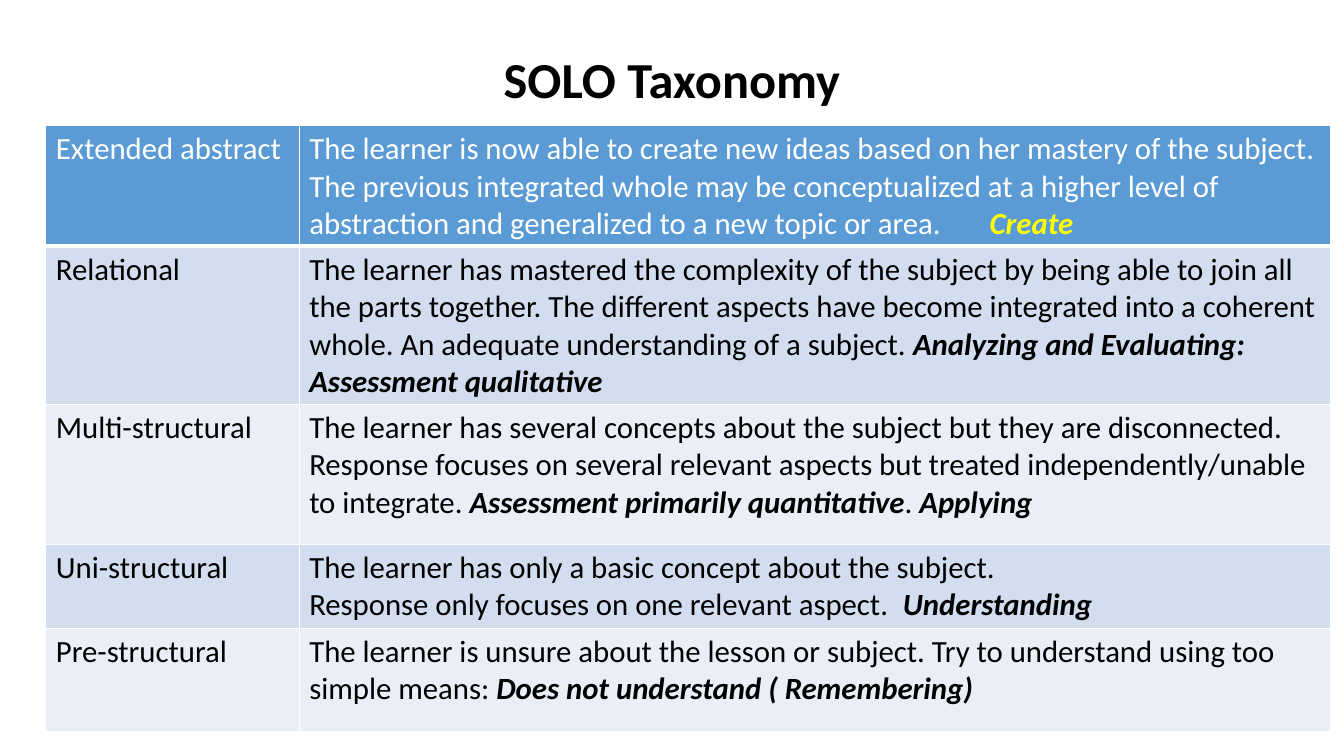
from lxml import etree
from pptx import Presentation
from pptx import util as u
from pptx.dml.color import RGBColor
from pptx.enum import text
from pptx.oxml import ns

WHITE, BLACK, YELLOW = "FFFFFF", "000000", "FFFF00"
HEADER, BAND_DARK, BAND_LIGHT = "5B9BD5", "D2DEEF", "EAEFF7"

# Each level: name, row height, paragraphs; a paragraph is a list of
# (wording, emphasised) spans, and a tab jumps to the level's tab stop.
LEVELS = [
    ("Extended abstract", 84.5, 486, [
        [("The learner is now able to create new ideas based on her mastery of the subject. "
          "The previous integrated whole may be conceptualized at a higher level of "
          "abstraction and generalized to a new topic or area.\t", False),
         ("Create", True)]]),
    ("Relational", 110, None, [
        [("The learner has mastered the complexity of the subject by being able to join all "
          "the parts together. The different aspects have become integrated into a coherent "
          "whole. An adequate understanding of a subject. ", False),
         ("Analyzing and Evaluating: Assessment qualitative", True)]]),
    ("Multi-structural", 100, None, [
        [("The learner has several concepts about the subject but they are disconnected. "
          "Response focuses on several relevant aspects but treated independently/unable "
          "to integrate. ", False),
         ("Assessment primarily quantitative", True), (". ", False), ("Applying", True)]]),
    ("Uni-structural", 58.5, 424, [
        [("The learner has only a basic concept about the subject.", False)],
        [("Response only focuses on one relevant aspect.\t", False),
         ("Understanding", True)]]),
    ("Pre-structural", 74, None, [
        [("The learner is unsure about the lesson or subject. Try to understand using too "
          "simple means: ", False),
         ("Does not understand ( Remembering)", True)]]),
]


def rgb(value):
    return RGBColor.from_string(value)


class SlideBuilder:
    font = "Calibri"
    title_size = 36
    body_size = 22

    def __init__(self, deck):
        self.slide = deck.slides.add_slide(deck.slide_layouts[6])

    def style(self, para, size, color, bold=None):
        para.font.name = self.font
        para.font.size = u.Pt(size)
        para.font.color.rgb = rgb(color)
        para.font.bold = bold

    def title(self, wording, left, top, width, height):
        box = self.slide.shapes.add_textbox(u.Pt(left), u.Pt(top), u.Pt(width), u.Pt(height))
        frame = box.text_frame
        frame.word_wrap = True
        frame.vertical_anchor = text.MSO_ANCHOR.MIDDLE
        para = frame.paragraphs[0]
        para.text = wording
        para.alignment = text.PP_ALIGN.CENTER
        para.line_spacing = 0.9
        self.style(para, self.title_size, BLACK, bold=True)

    def table(self, left, top, widths, heights):
        frame = self.slide.shapes.add_table(
            len(heights), len(widths), u.Pt(left), u.Pt(top),
            u.Pt(sum(widths)), u.Pt(sum(heights)))
        table = frame.table
        for column, width in zip(table.columns, widths):
            column.width = u.Pt(width)
        for row, height in zip(table.rows, heights):
            row.height = u.Pt(height)
        return table

    def borders(self, cell, top, bottom):
        properties = cell._tc.get_or_add_tcPr()
        for side, width in (("L", 1), ("R", 1), ("T", top), ("B", bottom)):
            line = etree.SubElement(properties, ns.qn(f"a:ln{side}"), w=str(u.Pt(width)))
            fill = etree.SubElement(line, ns.qn("a:solidFill"))
            etree.SubElement(fill, ns.qn("a:srgbClr"), val=WHITE)

    def tab_stop(self, para, position):
        stops = etree.SubElement(para._p.get_or_add_pPr(), ns.qn("a:tabLst"))
        etree.SubElement(stops, ns.qn("a:tab"), pos=str(u.Pt(position)), algn="l")

    def cell(self, cell, paragraphs, fill, color, accent, tab=None, top=1, bottom=1):
        self.borders(cell, top, bottom)
        cell.fill.solid()
        cell.fill.fore_color.rgb = rgb(fill)
        frame = cell.text_frame
        for index, spans in enumerate(paragraphs):
            para = frame.add_paragraph() if index else frame.paragraphs[0]
            if tab:
                self.tab_stop(para, tab)
            self.style(para, self.body_size, color)
            for wording, emphasised in spans:
                span = para.add_run()
                span.text = wording
                if emphasised:
                    span.font.bold = span.font.italic = True
                    span.font.color.rgb = rgb(accent)


def main():
    deck = Presentation()
    deck.slide_width, deck.slide_height = u.Pt(960), u.Pt(540)
    page = SlideBuilder(deck)

    # Title
    page.title("SOLO Taxonomy", 66, 29, 828, 60)

    # Taxonomy table, highest level first
    table = page.table(32.75, 89.5, [181, 736.5], [level[1] for level in LEVELS])
    for row, (name, _, tab, description) in enumerate(LEVELS):
        if row == 0:
            look = dict(fill=HEADER, color=WHITE, accent=YELLOW, bottom=3)
        else:
            look = dict(fill=BAND_DARK if row % 2 else BAND_LIGHT, color=BLACK,
                        accent=BLACK, top=3 if row == 1 else 1)
        page.cell(table.cell(row, 0), [[(name, False)]], **look)
        page.cell(table.cell(row, 1), description, tab=tab, **look)

    deck.save("out.pptx")


if __name__ == "__main__":
    main()
